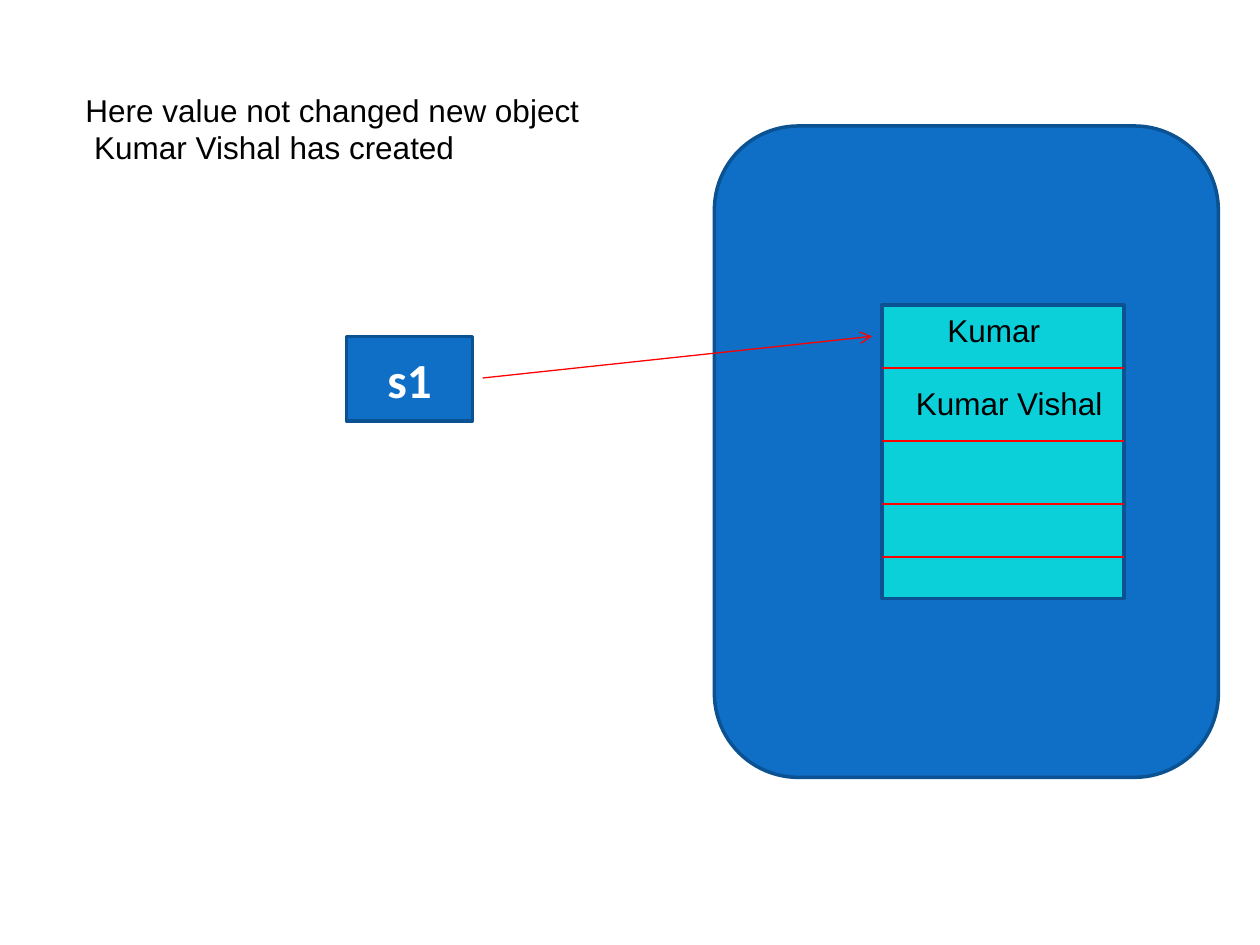
"""Build a slide showing a string variable and the objects in memory."""
from lxml import etree
from pptx import Presentation
from pptx.dml.color import RGBColor
from pptx.enum.shapes import MSO_CONNECTOR, MSO_SHAPE
from pptx.enum.text import MSO_ANCHOR, MSO_AUTO_SIZE, PP_ALIGN
from pptx.oxml.ns import qn
from pptx.util import Inches, Pt

RECT = MSO_SHAPE.RECTANGLE
ROUND = MSO_SHAPE.ROUNDED_RECTANGLE
LINE = MSO_CONNECTOR.STRAIGHT
MIDDLE = MSO_ANCHOR.MIDDLE
CENTER = PP_ALIGN.CENTER
GROW = MSO_AUTO_SIZE.SHAPE_TO_FIT_TEXT


def color(code):
    return RGBColor.from_string(code)


class Board:
    blue, cyan, edge = "0F6FC6", "0BD0D9", "0B5292"
    red, black, white = "FF0000", "000000", "FFFFFF"

    def __init__(self, slide):
        self.slide = slide

    def add_text(self, para, text, size, font, tint, bold=False):
        run = para.add_run()
        run.text = text
        run.font.size = Pt(size)
        run.font.name = font
        run.font.bold = bold
        run.font.color.rgb = color(tint)

    def box(self, kind, area, fill, text=None):
        shape = self.slide.shapes.add_shape(kind, *map(Inches, area))
        shape.shadow.inherit = False
        shape.fill.solid()
        shape.fill.fore_color.rgb = color(fill)
        shape.line.color.rgb = color(self.edge)
        shape.line.width = Pt(2)
        if text:
            shape.text_frame.vertical_anchor = MIDDLE
            para = shape.text_frame.paragraphs[0]
            para.alignment = CENTER
            self.add_text(para, text, 28, "Calibri", self.white, True)

    def line(self, start, end, arrow=False):
        wire = self.slide.shapes.add_connector(LINE, *map(Inches, start + end))
        wire.line.color.rgb = color(self.red)
        wire.line.width = Pt(0.75)
        props = wire._element.spPr
        etree.SubElement(props, qn("a:effectLst"))
        if arrow:
            etree.SubElement(props.find(qn("a:ln")), qn("a:tailEnd"), type="arrow")

    def label(self, area, *rows):
        frame = self.slide.shapes.add_textbox(*map(Inches, area)).text_frame
        frame.word_wrap = False
        frame.auto_size = GROW
        for i, row in enumerate(rows):
            para = frame.add_paragraph() if i else frame.paragraphs[0]
            self.add_text(para, row, 18, "Arial", self.black)


def main():
    deck = Presentation()
    deck.slide_width, deck.slide_height = Inches(10), Inches(7.5)
    board = Board(deck.slides.add_slide(deck.slide_layouts[6]))

    left, width = 7, 1.92
    board.box(ROUND, (5.67, 1, 4, 5.17), board.blue)
    board.box(RECT, (left, 2.42, width, 2.33), board.cyan)
    for y in (2.92, 3.5, 4, 4.42):
        board.line((left, y), (left + width, y))

    board.label((7.42, 2.42, 0.94, 0.4), "Kumar")
    board.box(RECT, (2.75, 2.67, 1, 0.67), board.blue, "s1")
    board.line((3.83, 3), (6.92, 2.67), arrow=True)
    board.label((7.17, 3, 1.7, 0.4), "Kumar Vishal")
    board.label((0.58, 0.67, 4.16, 0.71),
                "Here value not changed new object", " Kumar Vishal has created")
    deck.save("out.pptx")


if __name__ == "__main__":
    main()
